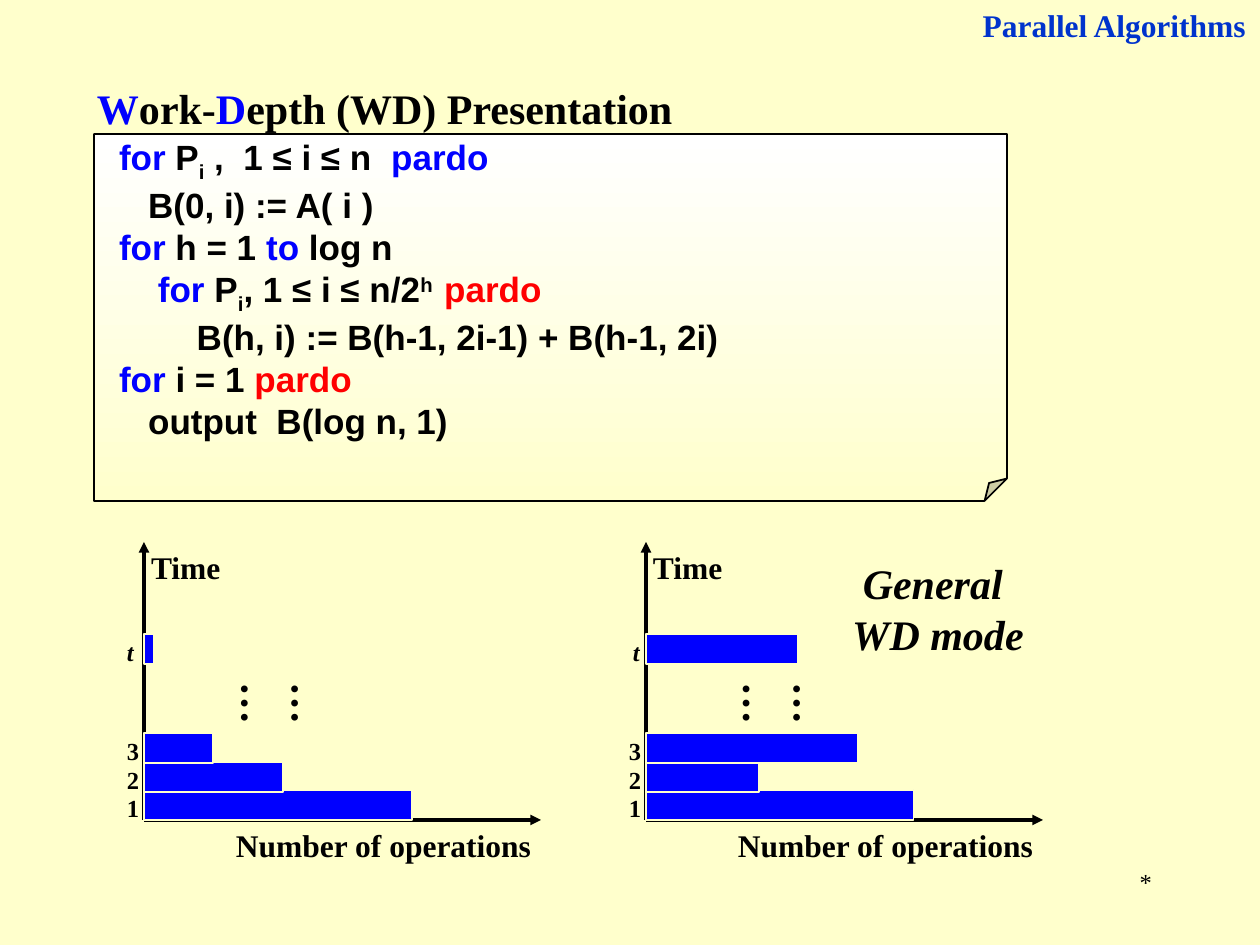
from lxml import etree
from pptx import Presentation
from pptx import util as u
from pptx.dml.color import RGBColor
from pptx.enum import shapes, text
from pptx.oxml.ns import qn

PX = u.Inches(1) // 126
BLACK = RGBColor(0, 0, 0)
BLUE = RGBColor(0, 0, 255)
RED = RGBColor(255, 0, 0)
HEADER_BLUE = RGBColor(0, 0x33, 0xCC)
WHITE = RGBColor(255, 255, 255)
CREAM = RGBColor(255, 255, 0xCC)
SERIF, SANS = "Times New Roman", "Arial"
SUB, SUPER = -25000, 30000
ALIGN = text.PP_ALIGN

# A run is (text, colour, baseline); the last two may be left out.
TITLE = [("W", BLUE), ("ork-",), ("D", BLUE), ("epth (WD) Presentation",)]
CODE = [
    [("for", BLUE), (" P",), ("i", BLACK, SUB), (" ,  1 ≤ i ≤ n  ",), ("pardo", BLUE)],
    [("   B(0, i) := A( i )",)],
    [("for", BLUE), (" h = 1 ",), ("to", BLUE), (" log n",)],
    [("    for ", BLUE), ("P",), ("i", BLACK, SUB), (", 1 ≤ i ≤ n/2",),
     ("h  ", BLACK, SUPER), ("pardo", RED)],
    [("        B(h, i) := B(h-1, 2i-1) + B(h-1, 2i)",)],
    [("for ", BLUE), ("i = 1 ",), ("pardo", RED)],
    [("   output  B(log n, 1)",)],
]
STEPS = [("1", 790), ("2", 762), ("3", 733), ("t", 634)]  # label, bar top
GRAPHS = [  # origin x, bar lengths by step, label offsets by step
    (144, (268, 139, 69, 10), (-30, -30, -30, -30)),
    (646, (268, 113, 212, 152), (-30, -30, -30, -26)),
]
AXIS_TOP, AXIS_BASE, AXIS_LENGTH, BAR_HEIGHT = 542, 820, 397, 30

prs = Presentation()
prs.slide_width, prs.slide_height = 1260 * PX, 945 * PX
slide = prs.slides.add_slide(prs.slide_layouts[5])
slide.background.fill.solid()
slide.background.fill.fore_color.rgb = CREAM


def px(*lengths):
    return [n * PX for n in lengths]


def add_run(p, font, size, bold, italic, words, color=BLACK, baseline=0):
    r = p.add_run()
    r.text = words
    r.font.name, r.font.size = font, u.Pt(size)
    r.font.bold, r.font.italic = bold, italic
    r.font.color.rgb = color
    if baseline:
        r._r.get_or_add_rPr().set("baseline", str(baseline))


def write(sp, lines, size, font=SERIF, bold=True, italic=False,
          align=ALIGN.LEFT, margins=(13, 6, 13, 6), wrap=True):
    tf = sp.text_frame
    tf.auto_size = text.MSO_AUTO_SIZE.NONE
    tf.word_wrap = wrap
    tf.vertical_anchor = text.MSO_ANCHOR.TOP
    tf.margin_left, tf.margin_top, tf.margin_right, tf.margin_bottom = px(*margins)
    for i, line in enumerate(lines):
        p = tf.add_paragraph() if i else tf.paragraphs[0]
        p.alignment = align
        for run in line:
            add_run(p, font, size, bold, italic, *run)


def add_label(box, lines, size, **style):
    sp = slide.shapes.add_textbox(*px(*box))
    write(sp, lines, size, **style)
    return sp


def add_arrow(x1, y1, x2, y2):
    line = slide.shapes.add_connector(shapes.MSO_CONNECTOR.STRAIGHT, *px(x1, y1, x2, y2))
    line.line.color.rgb = BLACK
    line.line.width = u.Pt(2)
    etree.SubElement(line.line._get_or_add_ln(), qn("a:tailEnd"), type="triangle")
    etree.SubElement(line._element.spPr, qn("a:effectLst"))


def add_shape(kind, box, color, width):
    sp = slide.shapes.add_shape(kind, *px(*box))
    sp.shadow.inherit = False
    sp.line.color.rgb = color
    sp.line.width = u.Pt(width)
    return sp


def add_graph(x, lengths, offsets):
    add_arrow(x, AXIS_BASE, x, AXIS_TOP)
    add_arrow(x, AXIS_BASE, x + AXIS_LENGTH, AXIS_BASE)
    add_label((x + 79, AXIS_BASE, 320, 50), [[("Number of operations",)]], 18, wrap=False)
    add_label((x - 6, AXIS_TOP, 94, 50), [[("Time",)]], 18, wrap=False)
    for (step, top), length, offset in zip(STEPS, lengths, offsets):
        bar = add_shape(shapes.MSO_SHAPE.RECTANGLE, (x, top, length, BAR_HEIGHT), CREAM, 0.75)
        bar.fill.solid()
        bar.fill.fore_color.rgb = BLUE
        add_label((x + offset, top - 3, 39, 43), [[(step,)]], 14, italic=step == "t")
    dots = add_label((x + 70, 670, 126, 59), [[("……",)]], 24, margins=(6, 13, 6, 13))
    dots.text_frame._txBody.bodyPr.set("vert", "eaVert")


add_label((903, 861, 262, 63), [[("*",)]], 14, bold=False, align=ALIGN.RIGHT)
add_label((927, 0, 332, 50), [[("Parallel Algorithms", HEADER_BLUE)]], 18, align=ALIGN.RIGHT)

note = add_shape(shapes.MSO_SHAPE.FOLDED_CORNER, (94, 134, 913, 367), BLACK, 1)
fold = note._element.spPr.prstGeom.get_or_add_avLst()
etree.SubElement(fold, qn("a:gd"), name="adj", fmla="val 6100")
note.fill.gradient()
note.fill.gradient_angle = 270
for stop, color in zip(note.fill.gradient_stops, (WHITE, CREAM)):
    stop.color.rgb = color
write(note, CODE, 20, font=SANS, margins=(25, 2, 5, 6))

title = slide.shapes.title
title.left, title.top, title.width, title.height = px(84, 76, 655, 63)
write(title, [TITLE], 24)

for graph in GRAPHS:
    add_graph(*graph)
add_label((809, 552, 258, 113), [[("General ",)], [("WD mode",)]], 24,
          italic=True, align=ALIGN.CENTER)

prs.save("out.pptx")
